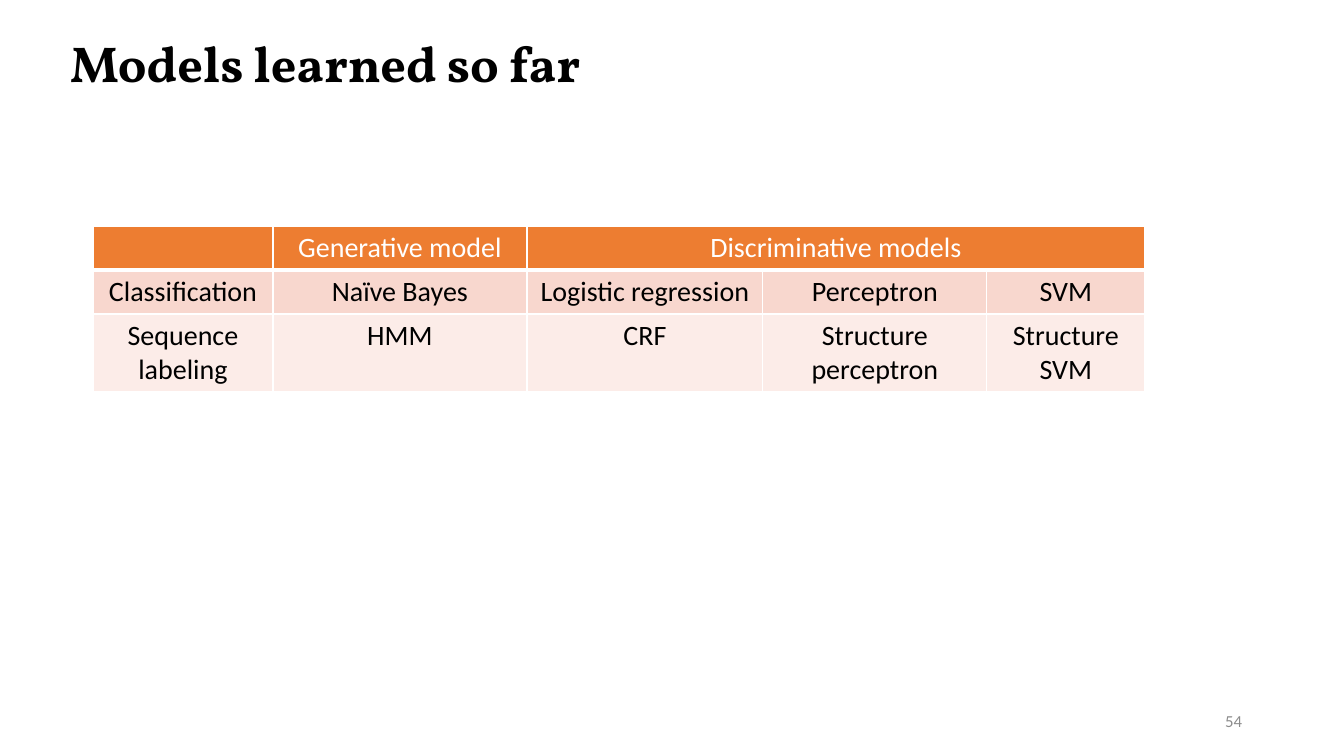
from lxml.etree import SubElement
from pptx import Presentation
from pptx.dml.color import RGBColor
from pptx.enum.text import MSO_ANCHOR, MSO_AUTO_SIZE, PP_ALIGN
from pptx.oxml.ns import qn
from pptx.util import Pt

EMU_PER_PX = 914400 / 100.8

BLACK = RGBColor(0x00, 0x00, 0x00)
WHITE = RGBColor(0xFF, 0xFF, 0xFF)
GRAY = RGBColor(0x8C, 0x8C, 0x8C)
ORANGE = RGBColor(0xED, 0x7D, 0x31)
PEACH = RGBColor(0xF8, 0xD7, 0xCE)
PALE_PEACH = RGBColor(0xFC, 0xEC, 0xE8)

COLUMN_WIDTHS = [180, 254, 236, 224, 158]
ROW_HEIGHTS = [44, 44, 76]
ROW_STYLES = [(ORANGE, WHITE), (PEACH, BLACK), (PALE_PEACH, BLACK)]
MODELS = [
    ["", "Generative model", "Discriminative models", "", ""],
    ["Classification", "Naïve Bayes", "Logistic regression", "Perceptron", "SVM"],
    ["Sequence labeling", "HMM", "CRF", "Structure perceptron", "Structure SVM"],
]


def px(length):
    return round(length * EMU_PER_PX)


class SlideBuilder:
    heading_font = "Vollkorn"
    body_font = "Calibri"

    def __init__(self, presentation):
        self.slide = presentation.slides.add_slide(presentation.slide_layouts[5])

    def format_text(self, text_frame, font_name, size, color, alignment, bold=False):
        for paragraph in text_frame.paragraphs:
            paragraph.alignment = alignment
            for run in paragraph.runs:
                run.font.name = font_name
                run.font.size = Pt(size)
                run.font.bold = bold
                run.font.color.rgb = color

    def title(self, text, left, top, width, height):
        shape = self.slide.shapes.title
        shape.left, shape.top, shape.width, shape.height = map(px, (left, top, width, height))
        text_frame = shape.text_frame
        text_frame.text = text
        text_frame.vertical_anchor = MSO_ANCHOR.TOP
        text_frame.auto_size = MSO_AUTO_SIZE.SHAPE_TO_FIT_TEXT
        self.format_text(text_frame, self.heading_font, 36, BLACK, PP_ALIGN.LEFT, bold=True)

    def page_number(self, text, left, top, width, height):
        shape = self.slide.shapes.add_textbox(*map(px, (left, top, width, height)))
        text_frame = shape.text_frame
        text_frame.word_wrap = True
        text_frame.text = text
        text_frame.vertical_anchor = MSO_ANCHOR.MIDDLE
        self.format_text(text_frame, self.body_font, 12, GRAY, PP_ALIGN.RIGHT)

    def cell_borders(self, cell, bottom_width):
        properties = cell._tc.get_or_add_tcPr()
        for side, width in (("L", 1), ("R", 1), ("T", 1), ("B", bottom_width)):
            line = SubElement(properties, qn(f"a:ln{side}"), w=str(Pt(width)))
            fill = SubElement(line, qn("a:solidFill"))
            SubElement(fill, qn("a:srgbClr"), val=str(WHITE))

    def table(self, rows, left, top):
        size = map(px, (left, top, sum(COLUMN_WIDTHS), sum(ROW_HEIGHTS)))
        table = self.slide.shapes.add_table(len(rows), len(COLUMN_WIDTHS), *size).table
        for column, width in zip(table.columns, COLUMN_WIDTHS):
            column.width = px(width)
        for row, height in zip(table.rows, ROW_HEIGHTS):
            row.height = px(height)
        for row_index, (texts, (fill, color)) in enumerate(zip(rows, ROW_STYLES)):
            for column_index, text in enumerate(texts):
                cell = table.cell(row_index, column_index)
                self.cell_borders(cell, 3 if row_index == 0 else 1)
                cell.fill.solid()
                cell.fill.fore_color.rgb = fill
                if text:
                    cell.text_frame.text = text
                    self.format_text(cell.text_frame, self.body_font, 20, color, PP_ALIGN.CENTER)
        table.cell(0, 2).merge(table.cell(0, 4))


def main():
    presentation = Presentation()
    presentation.slide_width = px(1344)
    presentation.slide_height = px(756)
    builder = SlideBuilder(presentation)
    builder.title("Models learned so far", 60, 27, 832, 72)
    builder.table(MODELS, 93, 226)
    builder.page_number("54", 950, 701, 302, 40)
    presentation.save("out.pptx")


if __name__ == "__main__":
    main()
